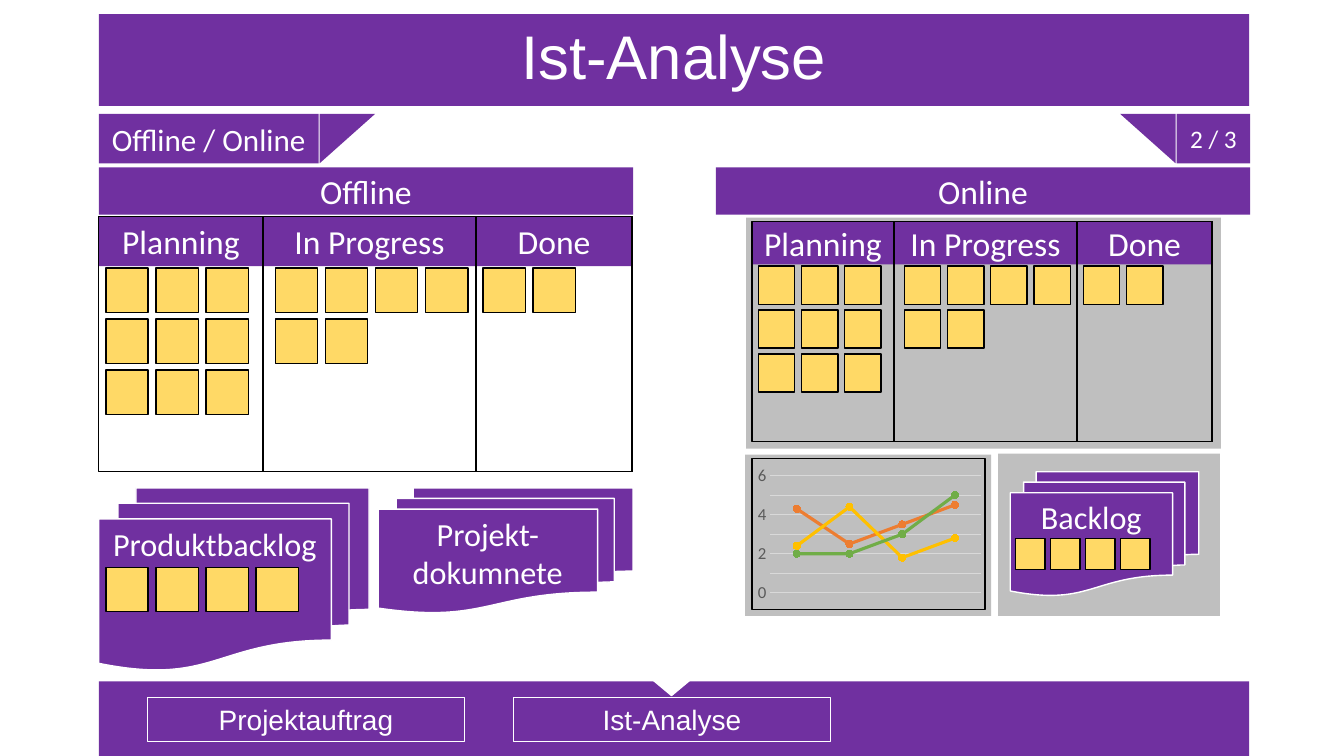
from pptx import Presentation
from pptx.chart.data import CategoryChartData
from pptx.dml.color import RGBColor
from pptx.enum.chart import XL_CHART_TYPE, XL_MARKER_STYLE, XL_TICK_MARK
from pptx.enum.shapes import MSO_SHAPE
from pptx.enum.text import MSO_ANCHOR, PP_ALIGN
from pptx.util import Inches, Pt
from dataclasses import dataclass

TITLE = "Ist-Analyse"
SECTION = "Offline / Online"
PAGE = "2 / 3"
STEPS = ["Projektauftrag", "Ist-Analyse"]
HALVES = [("Offline", 0.98), ("Online", 7.1)]
COLUMNS = [
    # name, left, width, note inset, notes per row
    ("Planning", 0, 1.63, 0.07, [3, 3, 3]),
    ("In Progress", 1.63, 2.11, 0.12, [4, 2]),
    ("Done", 3.74, 1.55, 0.07, [2]),
]
BOARDS = [(0.98, 2.15, 1), (7.46, 2.2, 0.862)]
PANELS = [(7.4, 2.16, 4.71, 2.29), (7.39, 4.51, 2.44, 1.6), (9.9, 4.5, 2.2, 1.61)]
DOCUMENTS = [
    # text, box, note origin, note count, note scale
    ("Produktbacklog", (0.98, 4.84, 2.68, 1.81), (1.05, 5.63), 4, 1),
    ("Projekt-dokumnete", (3.75, 4.84, 2.53, 1.24), (0, 0), 0, 1),
    ("Backlog", (10.02, 4.68, 1.87, 1.23), (10.07, 5.34), 4, 0.7),
]
CATEGORIES = ["1", "2", "3", "4"]
SERIES = [
    ("Series 1", (4.3, 2.5, 3.5, 4.5), "ED7D31"),
    ("Series 2", (2.4, 4.4, 1.8, 2.8), "FFC000"),
    ("Series 3", (2, 2, 3, 5), "70AD47"),
]


@dataclass(frozen=True)
class Theme:
    purple: str = "7030A0"
    white: str = "FFFFFF"
    black: str = "000000"
    grey: str = "BFBFBF"
    note: str = "FFD966"
    axis: str = "595959"
    grid: str = "D9D9D9"
    heading_font: str = "Arial"
    body_font: str = "Calibri"
    title: float = 44
    head: float = 24
    document: float = 23
    section: float = 22.2
    step: float = 20
    page: float = 18
    tick: float = 12


T = Theme()


def rgb(color):
    return RGBColor.from_string(color)


def write(shape, text, size, font=T.body_font, anchor=MSO_ANCHOR.MIDDLE):
    tf = shape.text_frame
    tf.word_wrap = True
    tf.vertical_anchor = anchor
    p = tf.paragraphs[0]
    p.text = text
    p.alignment = PP_ALIGN.CENTER
    p.font.size, p.font.name = Pt(size), font
    p.font.color.rgb = rgb(T.white)
    return p


def add(parent, box, fill=None, line=None, kind=MSO_SHAPE.RECTANGLE, width=1, turn=0):
    sp = parent.add_shape(kind, *map(Inches, box))
    sp.shadow.inherit = False
    sp.rotation = turn
    if fill:
        sp.fill.solid()
        sp.fill.fore_color.rgb = rgb(fill)
    else:
        sp.fill.background()
    if line:
        sp.line.color.rgb = rgb(line)
        sp.line.width = Pt(width)
    else:
        sp.line.fill.background()
    return sp


def add_notes(parent, x, y, rows, k):
    for row, count in enumerate(rows):
        for col in range(count):
            box = (x + col * 0.497 * k, y + row * 0.505 * k, 0.42 * k, 0.44 * k)
            add(parent, box, T.note, T.black)


def add_board(parent, x, y, k):
    for name, left, width, _, _ in COLUMNS:
        head = add(parent, (x + left * k, y, width * k, 0.49 * k), T.purple)
        write(head, name, T.head)
    for _, left, _, inset, rows in COLUMNS:
        add(parent, (x + left * k, y, (5.29 - left) * k, 2.53 * k), line=T.black)
        add_notes(parent, x + (left + inset) * k, y + 0.51 * k, rows, k)


def add_line_chart(parent, box):
    data = CategoryChartData()
    data.categories = CATEGORIES
    for name, values, _ in SERIES:
        data.add_series(name, values)
    chart = parent.add_chart(XL_CHART_TYPE.LINE_MARKERS, *map(Inches, box), data).chart
    chart.has_legend = chart.has_title = False
    chart.font.size, chart.font.name = Pt(T.tick), T.body_font
    chart.font.color.rgb = rgb(T.axis)
    chart.plots[0].vary_by_categories = False
    chart.category_axis.visible = False
    axis = chart.value_axis
    axis.minimum_scale, axis.maximum_scale, axis.major_unit = 0, 6, 1
    axis.major_tick_mark = axis.minor_tick_mark = XL_TICK_MARK.NONE
    axis.format.line.fill.background()
    axis.major_gridlines.format.line.color.rgb = rgb(T.grid)
    axis.major_gridlines.format.line.width = Pt(0.75)
    for series, (_, _, color) in zip(chart.plots[0].series, SERIES):
        series.smooth = False
        series.format.line.color.rgb = rgb(color)
        series.format.line.width = Pt(2.25)
        marker = series.marker
        marker.style, marker.size = XL_MARKER_STYLE.CIRCLE, 5
        marker.format.fill.solid()
        marker.format.fill.fore_color.rgb = rgb(color)
        marker.format.line.color.rgb = rgb(color)


prs = Presentation()
prs.slide_width, prs.slide_height = Inches(13.33), Inches(7.5)
s = prs.slides.add_slide(prs.slide_layouts[5])
shapes = s.shapes

title = shapes.title
title.left, title.top, title.width, title.height = map(Inches, (0.98, 0.14, 11.41, 0.91))
title.fill.solid()
title.fill.fore_color.rgb = rgb(T.purple)
write(title, TITLE, T.title, T.heading_font).line_spacing = 0.9

add(shapes, (0.98, 6.76, 11.41, 0.74), T.purple)
add(shapes, (6.48, 6.75, 0.36, 0.15), T.white, T.white, MSO_SHAPE.ISOSCELES_TRIANGLE, turn=180)
for i, step in enumerate(STEPS):
    box = add(shapes, (1.46 + i * 3.63, 6.92, 3.15, 0.44), line=T.white, width=0.75)
    write(box, step, T.step, T.heading_font)

write(add(shapes, (0.98, 1.13, 2.18, 0.49), T.purple), SECTION, T.section)
add(shapes, (3.2, 1.1, 0.49, 0.55), T.purple, kind=MSO_SHAPE.RIGHT_TRIANGLE, turn=90)
add(shapes, (11.11, 1.13, 0.55, 0.49), T.purple, kind=MSO_SHAPE.RIGHT_TRIANGLE, turn=180)
write(add(shapes, (11.67, 1.13, 0.73, 0.49), T.purple), PAGE, T.page)

for name, left in HALVES:
    write(add(shapes, (left, 1.66, 5.3, 0.47), T.purple), name, T.head)
for panel in PANELS:
    add(shapes, panel, T.grey)
for board in BOARDS:
    add_board(shapes.add_group_shape().shapes, *board)
for text, box, origin, count, k in DOCUMENTS:
    group = shapes.add_group_shape().shapes
    document = add(group, box, T.purple, T.white, MSO_SHAPE.FLOWCHART_MULTIDOCUMENT)
    write(document, text, T.document, anchor=MSO_ANCHOR.TOP)
    add_notes(group, *origin, [count], k)

add(shapes, (7.46, 4.55, 2.31, 1.5), line=T.black)
add_line_chart(shapes, (7.47, 4.59, 2.31, 1.42))

prs.save("out.pptx")
